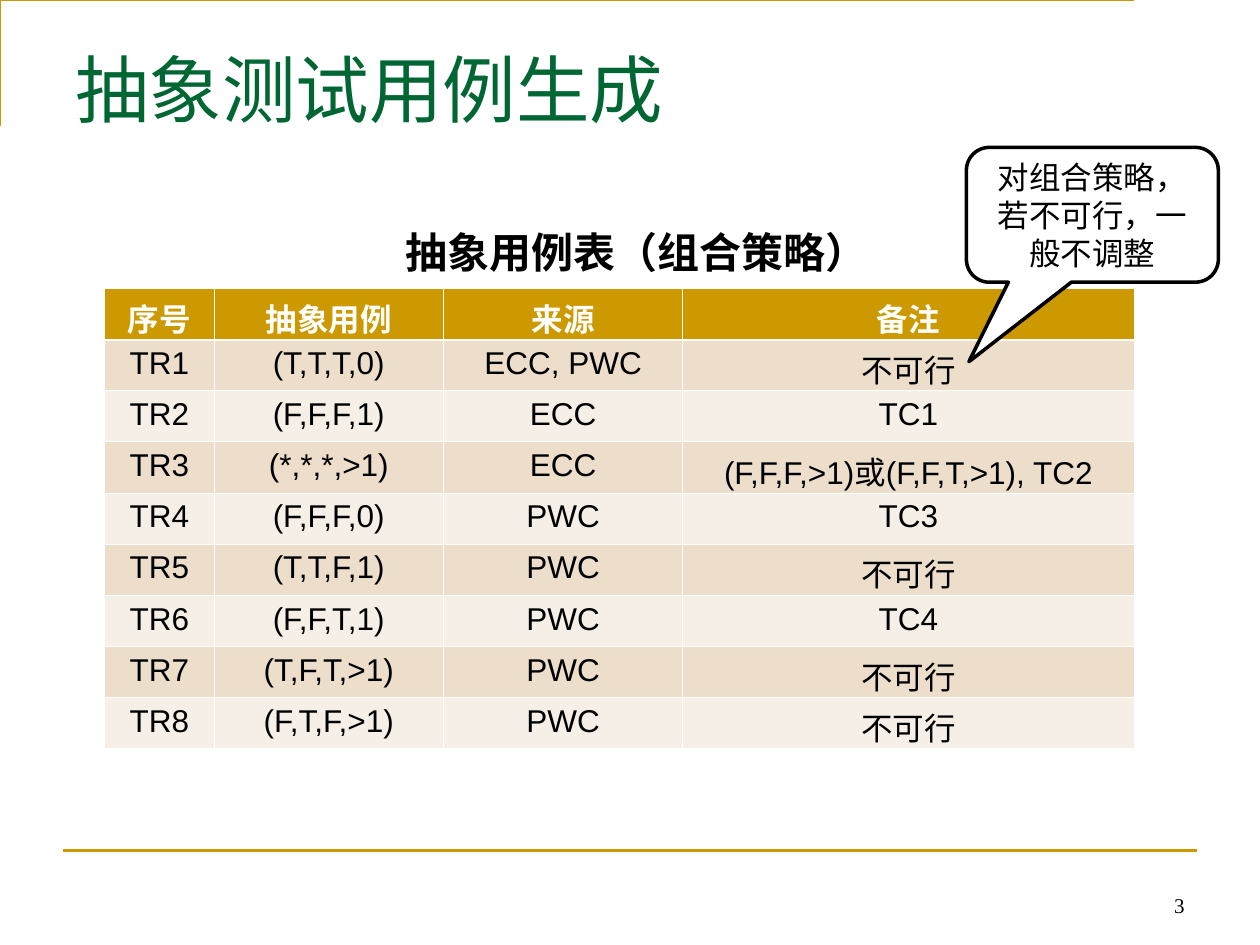
from lxml import etree
from pptx import Presentation
from pptx.dml.color import RGBColor
from pptx.enum.shapes import MSO_CONNECTOR, MSO_SHAPE
from pptx.enum.text import MSO_ANCHOR, PP_ALIGN
from pptx.oxml.ns import qn
from pptx.util import Inches, Pt

LEFT, CENTER, RIGHT = PP_ALIGN.LEFT, PP_ALIGN.CENTER, PP_ALIGN.RIGHT
TOP, MIDDLE, BOTTOM = MSO_ANCHOR.TOP, MSO_ANCHOR.MIDDLE, MSO_ANCHOR.BOTTOM
GOLD = RGBColor(0xCC, 0x99, 0x00)
GREEN = RGBColor(0x00, 0x66, 0x33)
BLACK = RGBColor(0, 0, 0)
WHITE = RGBColor(0xFF, 0xFF, 0xFF)
BANDS = [RGBColor(0xEC, 0xDE, 0xCB), RGBColor(0xF6, 0xEF, 0xE7)]
SANS, SERIF = "Arial", "Times New Roman"

TITLE = "抽象测试用例生成"
CAPTION = "抽象用例表（组合策略）"
CALLOUT = "对组合策略，若不可行，一般不调整"
PAGE = "3"
INFEASIBLE = "不可行"
ROWS = [
    ("序号", "抽象用例", "来源", "备注"),
    ("TR1", "(T,T,T,0)", "ECC, PWC", INFEASIBLE),
    ("TR2", "(F,F,F,1)", "ECC", "TC1"),
    ("TR3", "(*,*,*,>1)", "ECC", "(F,F,F,>1)或(F,F,T,>1), TC2"),
    ("TR4", "(F,F,F,0)", "PWC", "TC3"),
    ("TR5", "(T,T,F,1)", "PWC", INFEASIBLE),
    ("TR6", "(F,F,T,1)", "PWC", "TC4"),
    ("TR7", "(T,F,T,>1)", "PWC", INFEASIBLE),
    ("TR8", "(F,T,F,>1)", "PWC", INFEASIBLE),
]
COL_WIDTHS = [0.87, 1.82, 1.9, 3.58]
ROW_HEIGHT = 3.65 / len(ROWS)
THIN, THICK = 0.45, 1.47

prs = Presentation()
prs.slide_width, prs.slide_height = Inches(10), Inches(7.5)
slide = prs.slides.add_slide(prs.slide_layouts[6])
shapes = slide.shapes


def write(tf, text, size, font, color, align=LEFT, bold=False):
    p = tf.paragraphs[0]
    p.alignment = align
    r = p.add_run()
    r.text = text
    r.font.size, r.font.name, r.font.bold = Pt(size), font, bold
    r.font.color.rgb = color


def add_text(box, text, size, font, color, align=LEFT, anchor=TOP, bold=False, wrap=True):
    tf = shapes.add_textbox(*map(Inches, box)).text_frame
    tf.word_wrap, tf.vertical_anchor = wrap, anchor
    write(tf, text, size, font, color, align, bold)


def add_borders(cell, **widths):
    """Draw white cell borders; widths are in points, keyed by L, R, T, B."""
    tc_pr = cell._tc.get_or_add_tcPr()
    for side, width in widths.items():
        ln = etree.SubElement(tc_pr, qn(f"a:ln{side}"), w=str(Pt(width)))
        fill = etree.SubElement(ln, qn("a:solidFill"))
        etree.SubElement(fill, qn("a:srgbClr"), val=str(WHITE))


# Frame lines
builder = shapes.build_freeform(0.42, 0.92, scale=Inches(1))
builder.add_line_segments([(0.42, 0.25), (9.42, 0.25)], close=False)
corner = builder.convert_to_shape()
corner.shadow.inherit = False
corner.fill.background()
footer_line = shapes.add_connector(
    MSO_CONNECTOR.STRAIGHT, Inches(0.5), Inches(6.75), Inches(9.5), Inches(6.75))
etree.SubElement(footer_line._element.spPr, qn("a:effectLst"))
for rule in (corner, footer_line):
    rule.line.color.rgb, rule.line.width = GOLD, Pt(1.5)

add_text((0.5, 0.3, 9, 1.25), TITLE, 42, SERIF, GREEN)

# Table of abstract test cases
table = shapes.add_table(
    len(ROWS), len(COL_WIDTHS), Inches(0.83), Inches(2.29),
    Inches(sum(COL_WIDTHS)), Inches(ROW_HEIGHT * len(ROWS))).table
table.first_row = table.horz_banding = False
for column, width in zip(table.columns, COL_WIDTHS):
    column.width = Inches(width)
for i, values in enumerate(ROWS):
    header = i == 0
    table.rows[i].height = Inches(ROW_HEIGHT)
    for j, value in enumerate(values):
        cell = table.cell(i, j)
        add_borders(cell, L=THIN, R=THIN, T=THICK if i == 1 else THIN,
                    B=THICK if header else THIN)
        cell.fill.solid()
        cell.fill.fore_color.rgb = GOLD if header else BANDS[(i - 1) % 2]
        write(cell.text_frame, value, 18, SANS, WHITE if header else BLACK, CENTER, header)

add_text((3.12, 1.75, 3.94, 0.5), CAPTION, 24, SANS, BLACK, bold=True, wrap=False)

callout = shapes.add_shape(
    MSO_SHAPE.ROUNDED_RECTANGULAR_CALLOUT, *map(Inches, (7.67, 1.17, 2, 1.07)))
for i, value in enumerate((-0.49, 1.09, 0.17)):
    callout.adjustments[i] = value
callout.shadow.inherit = False
callout.fill.solid()
callout.fill.fore_color.rgb = WHITE
callout.line.color.rgb, callout.line.width = BLACK, Pt(2)
callout.text_frame.word_wrap = True
callout.text_frame.vertical_anchor = MIDDLE
write(callout.text_frame, CALLOUT, 18, SANS, BLACK, CENTER)

add_text((7.17, 6.83, 2.33, 0.5), PAGE, 12, SERIF, BLACK, RIGHT, BOTTOM)

prs.save("out.pptx")
